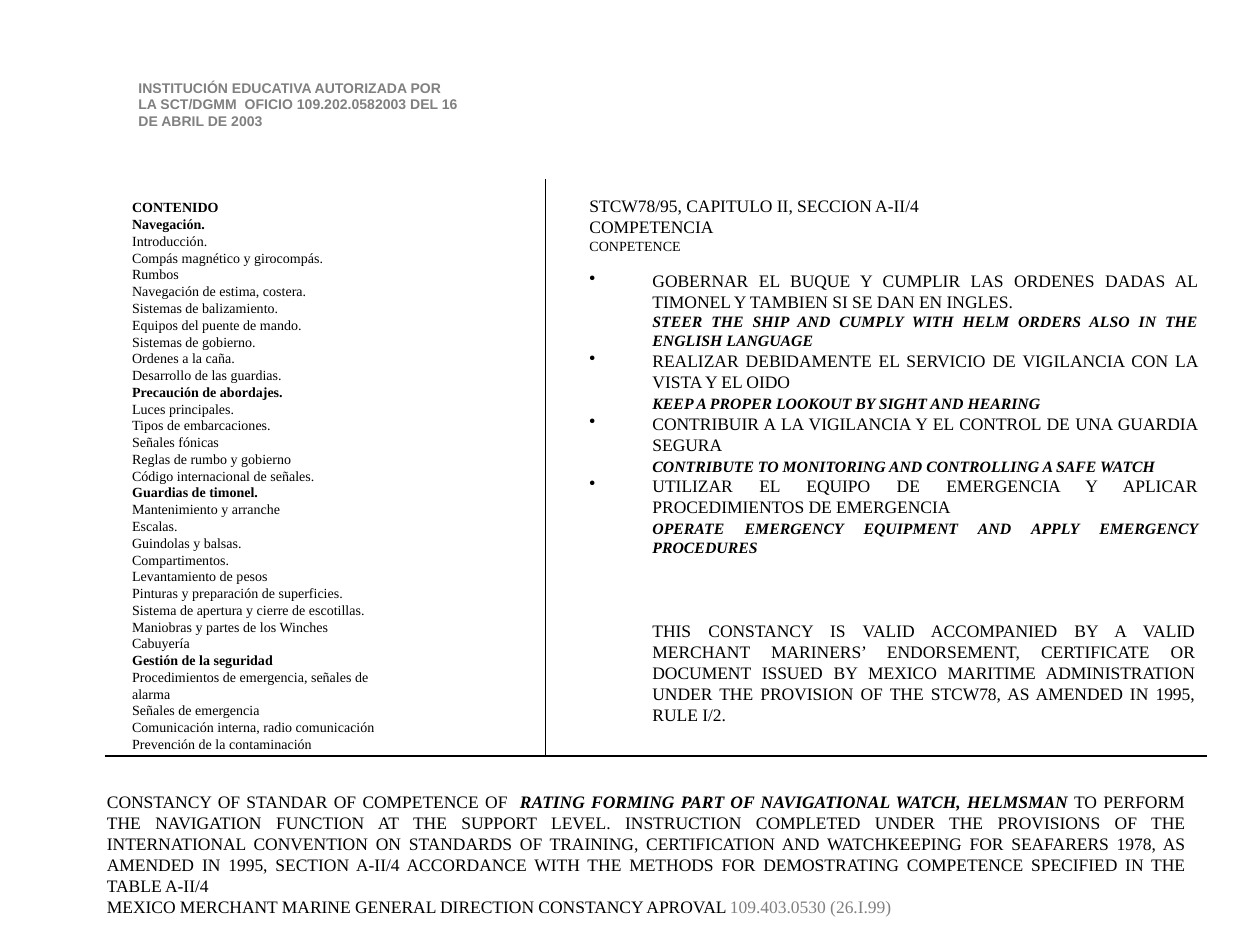
from lxml.etree import SubElement
from pptx import Presentation
from pptx.dml.color import RGBColor
from pptx.enum.shapes import MSO_CONNECTOR
from pptx.enum.text import PP_ALIGN
from pptx.oxml.ns import qn
from pptx.util import Inches, Pt

COLORS = {"ink": "000000", "gray": "808080"}
SERIF = "Times New Roman"

deck = Presentation()
deck.slide_width, deck.slide_height = Inches(10), Inches(7.5)
slide = deck.slides.add_slide(deck.slide_layouts[6])


def add_box(left, top, width, height):
    box = slide.shapes.add_textbox(*map(Inches, (left, top, width, height)))
    box.text_frame.word_wrap = True
    return box.text_frame


def add_run(par, text, size=10, bold=False, italic=False, color="ink", face=SERIF):
    run = par.add_run()
    run.text = text
    font = run.font
    font.name, font.size, font.bold, font.italic = face, Pt(size), bold, italic
    font.color.rgb = RGBColor.from_string(COLORS[color])


# Course contents
topics = {
    "Navegación.": [
        "Introducción.", "Compás magnético y girocompás.", "Rumbos",
        "Navegación de estima, costera.", "Sistemas de balizamiento.",
        "Equipos del puente de mando.", "Sistemas de gobierno.",
        "Ordenes a la caña.", "Desarrollo de las guardias."],
    "Precaución de abordajes.": [
        "Luces principales.", "Tipos de embarcaciones.", "Señales fónicas",
        "Reglas de rumbo y gobierno", "Código internacional de señales."],
    "Guardias de timonel.": [
        "Mantenimiento y arranche", "Escalas.", "Guindolas y balsas.",
        "Compartimentos.", "Levantamiento de pesos",
        "Pinturas y preparación de superficies.",
        "Sistema de apertura y cierre de escotillas.",
        "Maniobras y partes de los Winches", "Cabuyería"],
    "Gestión de la seguridad": [
        "Procedimientos de emergencia, señales de alarma",
        "Señales de emergencia", "Comunicación interna, radio comunicación",
        "Prevención de la contaminación"],
}
lines = [("CONTENIDO", True)]
for head, items in topics.items():
    lines += [(head, True)] + [(item, False) for item in items]

frame = add_box(0.74, 1.53, 2.41, 4.49)
for i, (text, bold) in enumerate(lines):
    par = frame.add_paragraph() if i else frame.paragraphs[0]
    par._p.get_or_add_pPr().set("marL", str(Inches(0.21)))
    add_run(par, text, 8, bold)

# Constancy statement
frame = add_box(0.75, 6.23, 8.75, 1.27)
par = frame.paragraphs[0]
par.alignment = PP_ALIGN.JUSTIFY
add_run(par, "CONSTANCY OF STANDAR OF COMPETENCE OF ")
add_run(par, " RATING FORMING PART OF NAVIGATIONAL WATCH, HELMSMAN ", bold=True, italic=True)
add_run(par, "TO PERFORM THE NAVIGATION FUNCTION AT THE SUPPORT LEVEL. INSTRUCTION "
        "COMPLETED UNDER THE PROVISIONS OF THE INTERNATIONAL CONVENTION ON STANDARDS OF "
        "TRAINING, CERTIFICATION AND WATCHKEEPING FOR SEAFARERS 1978, AS AMENDED IN 1995, "
        "SECTION A-II/4 ACCORDANCE WITH THE METHODS FOR DEMOSTRATING COMPETENCE SPECIFIED "
        "IN THE TABLE A-II/4")
par = frame.add_paragraph()
par.alignment = PP_ALIGN.JUSTIFY
add_run(par, "MEXICO MERCHANT MARINE GENERAL DIRECTION CONSTANCY APROVAL ")
add_run(par, "109.403.0530 (26.I.99)", color="gray")

# Competences, each in Spanish and English
skills = [
    ("GOBERNAR EL BUQUE Y CUMPLIR LAS ORDENES DADAS AL TIMONEL Y TAMBIEN SI SE DAN EN INGLES.",
     "STEER THE SHIP AND CUMPLY WITH HELM ORDERS ALSO IN THE ENGLISH LANGUAGE"),
    ("REALIZAR DEBIDAMENTE EL SERVICIO DE VIGILANCIA CON LA VISTA Y EL OIDO",
     "KEEP A PROPER LOOKOUT BY SIGHT AND HEARING"),
    ("CONTRIBUIR A LA VIGILANCIA Y EL CONTROL DE UNA GUARDIA SEGURA",
     "CONTRIBUTE TO MONITORING AND CONTROLLING A SAFE WATCH"),
    ("UTILIZAR EL EQUIPO DE EMERGENCIA Y APLICAR PROCEDIMIENTOS DE EMERGENCIA",
     "OPERATE EMERGENCY EQUIPMENT AND APPLY EMERGENCY PROCEDURES"),
]
frame = add_box(4.58, 1.5, 5.02, 2.99)
add_run(frame.paragraphs[0], "STCW78/95, CAPITULO II, SECCION A-II/4")
add_run(frame.add_paragraph(), "COMPETENCIA")
add_run(frame.add_paragraph(), "CONPETENCE", 8)
for i, (spanish, english) in enumerate(skills):
    par = frame.add_paragraph()
    par.alignment = PP_ALIGN.JUSTIFY
    par.space_before = Pt(0 if i else 9)
    props = par._p.get_or_add_pPr()
    props.set("marL", str(Inches(0.5)))
    props.set("indent", str(Inches(-0.5)))
    SubElement(props, qn("a:buChar")).set("char", "•")
    add_run(par, spanish)

    par = frame.add_paragraph()
    par.alignment = PP_ALIGN.JUSTIFY
    par.space_before = Pt(1 if i else 0)
    par._p.get_or_add_pPr().set("marL", str(Inches(0.5)))
    add_run(par, english, 9, True, True)

# Validity note
par = add_box(5.08, 4.87, 4.5, 0.94).paragraphs[0]
par.alignment = PP_ALIGN.JUSTIFY
add_run(par, "THIS CONSTANCY IS VALID ACCOMPANIED BY A VALID MERCHANT MARINERS’ ENDORSEMENT, "
        "CERTIFICATE OR DOCUMENT ISSUED BY MEXICO MARITIME ADMINISTRATION UNDER THE "
        "PROVISION OF THE STCW78, AS AMENDED IN 1995, RULE I/2.")

# Dividing lines
for ends in ((0.83, 6, 9.58, 6), (4.33, 1.42, 4.33, 6)):
    rule = slide.shapes.add_connector(MSO_CONNECTOR.STRAIGHT, *map(Inches, ends))
    rule.line.color.rgb = RGBColor.from_string(COLORS["ink"])
    rule.line.width = Pt(0.75)
    SubElement(rule._element.spPr, qn("a:effectLst"))

# Accreditation
par = add_box(1, 0.58, 2.75, 0.7).paragraphs[0]
add_run(par, "INSTITUCIÓN EDUCATIVA AUTORIZADA POR LA SCT/DGMM  OFICIO 109.202.0582003 "
        "DEL 16 DE ABRIL DE 2003", 8, True, color="gray", face="Arial")

deck.save("out.pptx")
